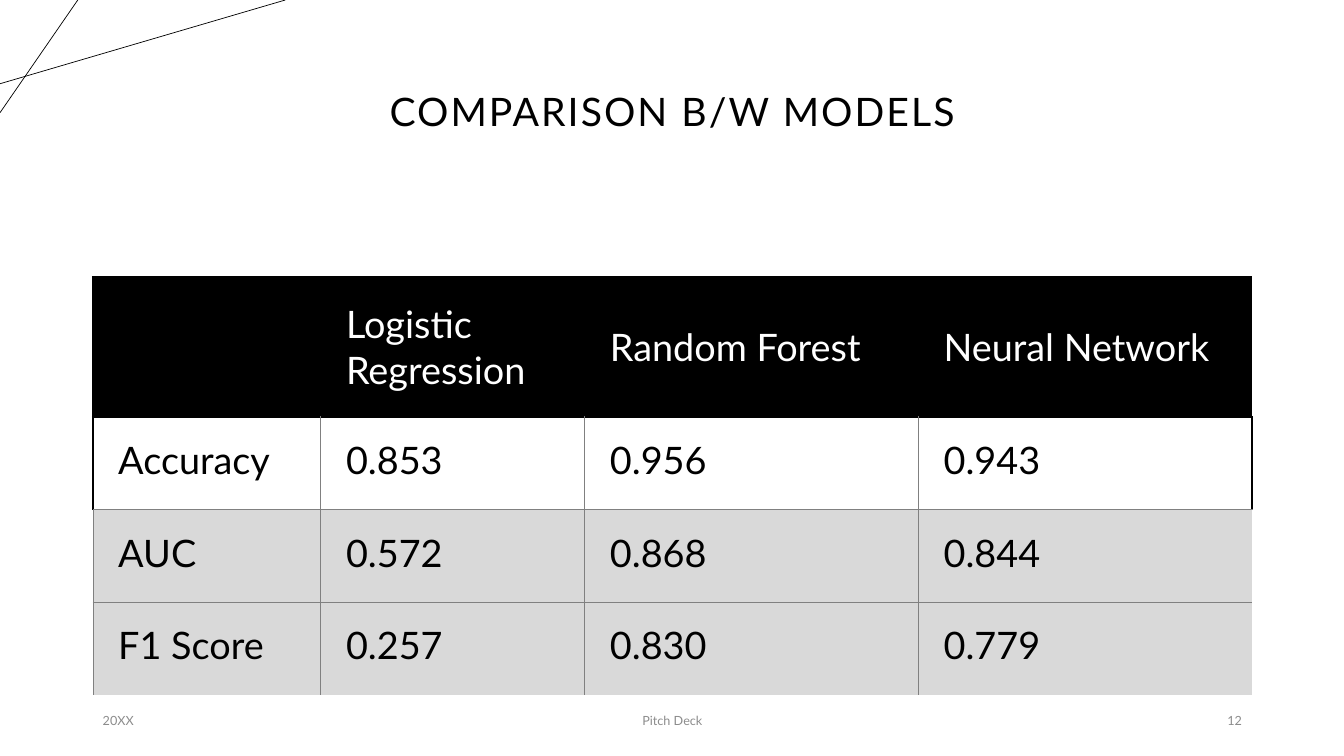
from lxml.etree import SubElement
from pptx import Presentation
from pptx.dml.color import RGBColor
from pptx.enum.shapes import MSO_CONNECTOR
from pptx.enum.text import MSO_ANCHOR, PP_ALIGN
from pptx.oxml import parse_xml
from pptx.oxml.ns import nsdecls, qn
from pptx.util import Cm, Pt

BLACK = RGBColor(0x00, 0x00, 0x00)
WHITE = RGBColor(0xFF, 0xFF, 0xFF)
BAND_GRAY = RGBColor(0xD9, 0xD9, 0xD9)
RULE_GRAY = RGBColor(0x80, 0x80, 0x80)
FOOTER_GRAY = RGBColor(0x8C, 0x8C, 0x8C)
FONT = "Lato"
MARGIN = 2.34
CONTENT_WIDTH = 29.21
HEAVY = (BLACK, 1.5)
THIN = (RULE_GRAY, 0.5)
SCORES = [
    ["", "Logistic Regression", "Random Forest", "Neural Network"],
    ["Accuracy", "0.853", "0.956", "0.943"],
    ["AUC", "0.572", "0.868", "0.844"],
    ["F1 Score", "0.257", "0.830", "0.779"],
]
COLUMN_WIDTHS = [5.74, 6.65, 8.41, 8.41]
ROW_HEIGHTS = [3.51, 2.34, 2.34, 2.34]


def style_font(font, size, color):
    """Apply the deck typeface with a size and colour."""
    font.name = FONT
    font.size = Pt(size)
    font.bold = False
    font.color.rgb = color


def add_accent_line(slide, start, end):
    """Draw one thin corner line between two points."""
    accent = slide.shapes.add_connector(
        MSO_CONNECTOR.STRAIGHT, *(Cm(value) for value in start + end))
    accent.line.color.rgb = BLACK
    accent.line.width = Pt(0.5)
    SubElement(accent._element.spPr, qn("a:effectLst"))


def add_label(slide, text, box, size, color, align):
    """Add a vertically centred line of text and return its paragraph."""
    label = slide.shapes.add_textbox(*(Cm(value) for value in box))
    frame = label.text_frame
    frame.word_wrap = True
    frame.vertical_anchor = MSO_ANCHOR.MIDDLE
    line = frame.paragraphs[0]
    line.text = text
    line.alignment = align
    style_font(line.runs[0].font, size, color)
    return line


def add_title(slide, text):
    """Add the letter-spaced slide title."""
    title = add_label(slide, text, (MARGIN, 1.02, CONTENT_WIDTH, 3.68),
                      28, BLACK, PP_ALIGN.CENTER)
    title.line_spacing = 0.9
    title.runs[0].font._element.set("spc", "150")


def cell_edges(row, column):
    """Return the left, right, top and bottom rules of a table cell."""
    last = len(SCORES) - 1
    if row == 0:
        return HEAVY if column == 0 else None, None, HEAVY, HEAVY
    outer = HEAVY if row == 1 else None
    left = (outer or THIN) if column == 0 else THIN
    right = outer if column == len(COLUMN_WIDTHS) - 1 else THIN
    top = HEAVY if row == 1 else THIN
    bottom = None if row == last else THIN
    return left, right, top, bottom


def set_borders(cell, edges):
    """Write the four border elements ahead of the cell fill."""
    properties = cell._tc.get_or_add_tcPr()
    for index, (side, edge) in enumerate(zip("LRTB", edges)):
        color, width = edge or (None, 0)
        paint = (f'<a:solidFill><a:srgbClr val="{color}"/></a:solidFill>'
                 if edge else "<a:noFill/>")
        properties.insert(index, parse_xml(
            f'<a:ln{side} {nsdecls("a")} w="{Pt(width)}">{paint}</a:ln{side}>'))


def fill_cell(cell, text, row, column):
    """Write, colour and frame one score cell."""
    is_header = row == 0
    cell.margin_left = Cm(0.64)
    cell.margin_right = cell.margin_top = cell.margin_bottom = Cm(0.51)
    cell.vertical_anchor = MSO_ANCHOR.MIDDLE if is_header else MSO_ANCHOR.TOP
    cell.text = text
    for run in cell.text_frame.paragraphs[0].runs:
        style_font(run.font, 27, WHITE if is_header else BLACK)
    if row == 1:
        cell.fill.background()
    else:
        cell.fill.solid()
        cell.fill.fore_color.rgb = BLACK if is_header else BAND_GRAY
    set_borders(cell, cell_edges(row, column))


def add_score_table(slide):
    """Add the model comparison table."""
    scores = slide.shapes.add_table(
        len(SCORES), len(COLUMN_WIDTHS), Cm(MARGIN), Cm(6.99),
        Cm(CONTENT_WIDTH), Cm(sum(ROW_HEIGHTS))).table
    scores.horz_banding = False
    for column, width in zip(scores.columns, COLUMN_WIDTHS):
        column.width = Cm(width)
    for row, height in zip(scores.rows, ROW_HEIGHTS):
        row.height = Cm(height)
    for row, values in enumerate(SCORES):
        for column, value in enumerate(values):
            fill_cell(scores.cell(row, column), value, row, column)


def add_footer(slide):
    """Add the date, deck name and page number."""
    for text, left, width, align in [
        ("20XX", MARGIN, 7.62, PP_ALIGN.LEFT),
        ("Pitch Deck", 11.23, 11.43, PP_ALIGN.CENTER),
        ("12", 23.93, 7.62, PP_ALIGN.RIGHT),
    ]:
        note = add_label(slide, text, (left, 17.65, width, 1.02),
                         9, FOOTER_GRAY, align)
        note.space_after = Pt(6)


def main():
    """Build and save the model comparison slide."""
    deck = Presentation()
    deck.slide_width = Cm(33.87)
    deck.slide_height = Cm(19.05)
    slide = deck.slides.add_slide(deck.slide_layouts[6])
    add_accent_line(slide, (0, 2.11), (7.19, 0))
    add_accent_line(slide, (1.96, 0), (0, 2.84))
    add_title(slide, "COMPARISON B/W MODELS")
    add_footer(slide)
    add_score_table(slide)
    deck.save("out.pptx")


if __name__ == "__main__":
    main()
